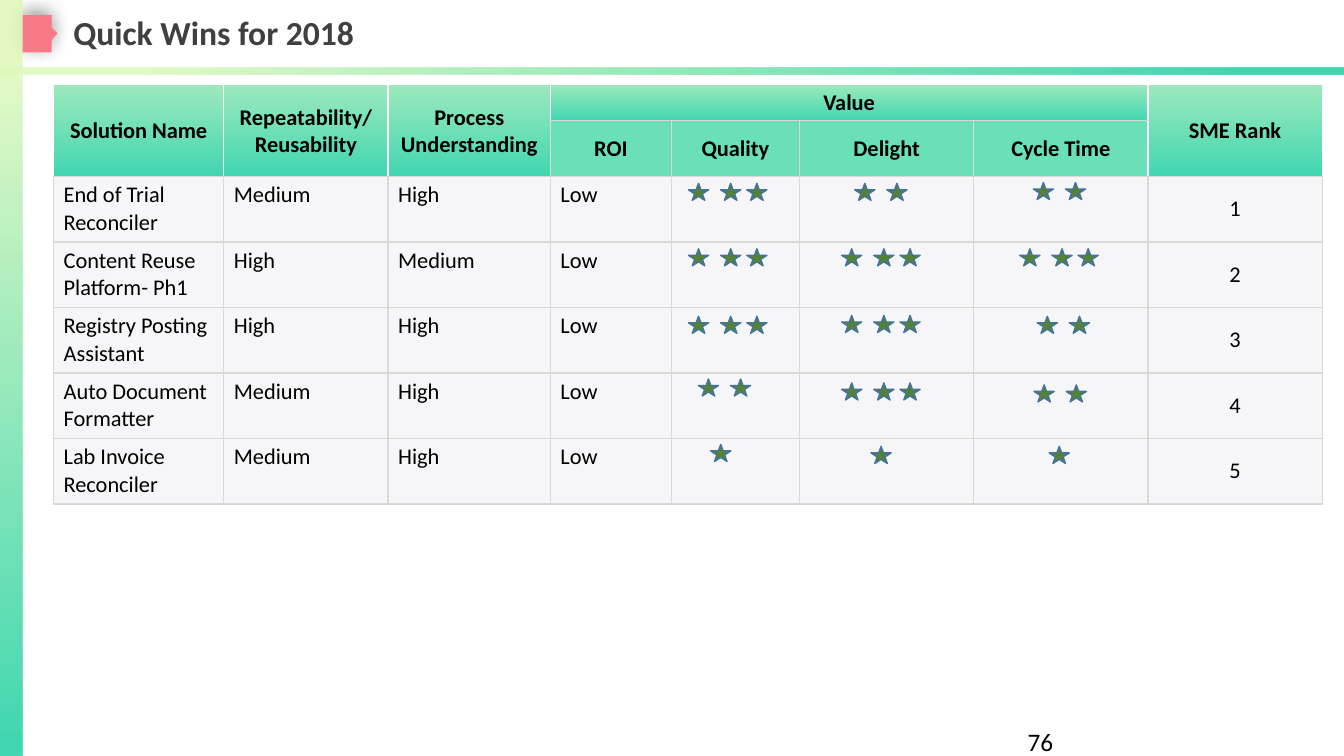
from itertools import accumulate

from lxml import etree
from pptx import Presentation
from pptx import util as u
from pptx.dml import color
from pptx.enum import shapes, text
from pptx.oxml import ns

FONT = "Calibri"
LIGHT, DARK = "DDF9B8", "14CE9F"
COLUMNS = [4.29, 4.14, 4.09, 3.05, 3.23, 4.39, 4.39, 4.39]
ROWS = [0.91, 1.41] + [1.65] * 5
HEADINGS = {0: ["Solution Name"], 1: ["Repeatability/", "Reusability"],
            2: ["Process Understanding"], 3: ["Value"], 7: ["SME Rank"]}
VALUES = ["ROI", "Quality", "Delight", "Cycle Time"]
SOLUTIONS = [
    ("End of Trial Reconciler", "Medium", "High", "Low"),
    ("Content Reuse Platform- Ph1", "High", "Medium", "Low"),
    ("Registry Posting Assistant", "High", "High", "Low"),
    ("Auto Document Formatter", "Medium", "High", "Low"),
    ("Lab Invoice Reconciler", "Medium", "High", "Low"),
]
RATINGS = [
    [(3, 0.43, 0.17), (2, 1.39, 0.17), (2, 1.5, 0.15)],
    [(3, 0.43, 0.17), (3, 1.06, 0.17), (3, 1.16, 0.17)],
    [(3, 0.43, 0.22), (3, 1.06, 0.2), (2, 1.6, 0.22)],
    [(2, 0.68, 0.15), (3, 1.06, 0.25), (2, 1.52, 0.3)],
    [(1, 0.99, 0.15), (1, 1.8, 0.2), (1, 1.9, 0.2)],
]
STAR_STEPS = [0, 0.81, 1.47]


def rgb(value):
    return color.RGBColor.from_string(value)


def lengths(*values):
    return [u.Cm(value) for value in values]


def write(para, words, size, shade="000000", bold=False):
    span = para.add_run()
    span.text = words
    span.font.name = FONT
    span.font.size = u.Pt(size)
    span.font.bold = bold
    span.font.color.rgb = rgb(shade)


def blend(fill, first, last, angle, start=0.0, end=1.0):
    fill.gradient()
    fill.gradient_angle = angle
    for stop, shade, position in zip(fill.gradient_stops, (first, last), (start, end)):
        stop.color.rgb = rgb(shade)
        stop.position = position


def add_band(page, box, angle, end):
    band = page.shapes.add_shape(shapes.MSO_SHAPE.RECTANGLE, *lengths(*box))
    band.shadow.inherit = False
    band.line.fill.background()
    blend(band.fill, LIGHT, DARK, angle, 0.1, end)
    for shade in band._element.spPr.iter(ns.qn("a:srgbClr")):
        etree.SubElement(shade, ns.qn("a:alpha"), val="80000")


def add_marker(page, left, top):
    outline = [(0, 0), (0.74, 0), (0.74, 0.31), (0.89, 0.46),
               (0.74, 0.64), (0.74, 0.94), (0, 0.94)]
    points = [lengths(left + x, top + y) for x, y in outline]
    builder = page.shapes.build_freeform(*points[0])
    builder.add_line_segments(points[1:], close=True)
    marker = builder.convert_to_shape()
    marker.fill.solid()
    marker.fill.fore_color.rgb = rgb("F97989")
    marker.line.fill.background()
    marker.shadow.inherit = False
    effects = marker._element.spPr.find(ns.qn("a:effectLst"))
    shadow = etree.SubElement(effects, ns.qn("a:outerShdw"), blurRad=str(u.Pt(13)),
                              dist=str(u.Pt(3)), dir="16200000", rotWithShape="0")
    shade = etree.SubElement(shadow, ns.qn("a:srgbClr"), val="000000")
    etree.SubElement(shade, ns.qn("a:alpha"), val="40000")


def add_title(page, box):
    title = page.shapes.title
    title.left, title.top, title.width, title.height = lengths(*box)
    frame = title.text_frame
    frame.margin_left = frame.margin_right = frame.margin_top = frame.margin_bottom = 0
    frame.vertical_anchor = text.MSO_ANCHOR.MIDDLE
    para = frame.paragraphs[0]
    para.alignment = text.PP_ALIGN.LEFT
    para.line_spacing = 0.9
    write(para, "Quick Wins for 2018", 24, "404040", True)


def add_page_number(page, box):
    number = page.shapes.add_textbox(*lengths(*box))
    number.text_frame.word_wrap = True
    write(number.text_frame.paragraphs[0], "76", 18)


def set_borders(cell, heading):
    properties = cell._tc.get_or_add_tcPr()
    for side in "LRTB":
        line = etree.SubElement(properties, ns.qn("a:ln" + side), w=str(u.Pt(1)))
        fill = etree.SubElement(line, ns.qn("a:solidFill"))
        shade = "FFFFFF" if heading and side != "B" else "D9D9D9"
        etree.SubElement(fill, ns.qn("a:srgbClr"), val=shade)


def fill_heading(cell, lines):
    cell.margin_left = cell.margin_right = cell.margin_top = u.Cm(0.03)
    cell.margin_bottom = 0
    cell.vertical_anchor = text.MSO_ANCHOR.MIDDLE
    frame = cell.text_frame
    for index, words in enumerate(lines):
        para = frame.add_paragraph() if index else frame.paragraphs[0]
        para.alignment = text.PP_ALIGN.CENTER
        write(para, words, 16, bold=True)


def add_solutions(page, left, top):
    box = lengths(left, top, sum(COLUMNS), sum(ROWS))
    table = page.shapes.add_table(len(ROWS), len(COLUMNS), *box).table
    table.first_row = table.horz_banding = False
    for column, width in zip(table.columns, COLUMNS):
        column.width = u.Cm(width)
    for index, height in enumerate(ROWS):
        table.rows[index].height = u.Cm(height)
        for cell in table.rows[index].cells:
            set_borders(cell, index == 0)
            if index == 0:
                blend(cell.fill, "9CE9BC", "41D6B1", 270)
            else:
                cell.fill.solid()
                cell.fill.fore_color.rgb = rgb("69E0B7" if index == 1 else "F6F6F9")
    for column, lines in HEADINGS.items():
        end = (0, 6) if column == 3 else (1, column)
        table.cell(0, column).merge(table.cell(*end))
        fill_heading(table.cell(0, column), lines)
    for column, words in enumerate(VALUES, 3):
        fill_heading(table.cell(1, column), [words])
    for row, solution in enumerate(SOLUTIONS, 2):
        for column, words in enumerate(solution):
            write(table.cell(row, column).text_frame.paragraphs[0], words, 16)
        rank = table.cell(row, 7)
        rank.vertical_anchor = text.MSO_ANCHOR.MIDDLE
        para = rank.text_frame.paragraphs[0]
        para.alignment = text.PP_ALIGN.CENTER
        write(para, str(row - 1), 16)


def add_stars(page, count, left, top):
    parent = page.shapes if count == 1 else page.shapes.add_group_shape().shapes
    for step in STAR_STEPS[:count]:
        star = parent.add_shape(shapes.MSO_SHAPE.STAR_5_POINT,
                                *lengths(left + step, top, 0.51, 0.43))
        star.shadow.inherit = False
        star.fill.solid()
        star.fill.fore_color.rgb = rgb("548235")
        star.line.color.rgb = rgb("43739E")
        star.line.width = u.Pt(1)


def add_ratings(page, left, top):
    column_starts = list(accumulate(COLUMNS, initial=left))[4:7]
    row_starts = list(accumulate(ROWS, initial=top))[2:]
    for row_top, ratings in zip(row_starts, RATINGS):
        for column_left, (count, inset, drop) in zip(column_starts, ratings):
            add_stars(page, count, column_left + inset, row_top + drop)


def add_quick_wins(deck):
    page = deck.slides.add_slide(deck.slide_layouts[5])
    add_marker(page, 0.56, 0.38)
    add_band(page, (0, 0, 0.57, 19.05), 270, 0.98)
    add_band(page, (0, 1.7, 33.87, 0.18), 0, 0.92)
    add_title(page, (1.85, 0.41, 23.44, 0.94))
    add_page_number(page, (25.65, 18.19, 7.62, 1.02))
    add_solutions(page, 1.35, 2.13)
    add_ratings(page, 1.35, 2.13)


def main():
    deck = Presentation()
    deck.slide_width, deck.slide_height = lengths(33.87, 19.05)
    add_quick_wins(deck)
    deck.save("out.pptx")


if __name__ == "__main__":
    main()
